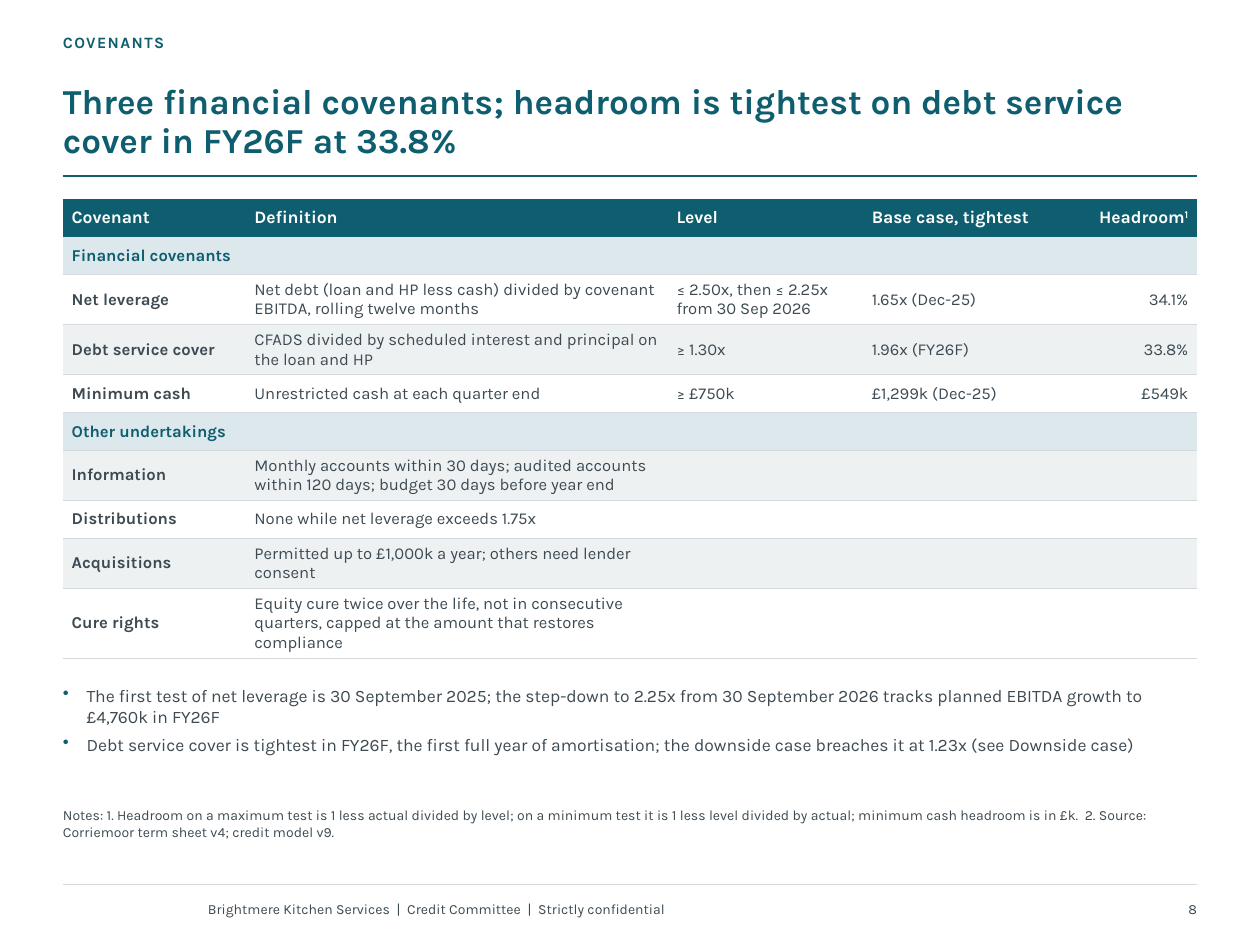
from lxml import etree
from pptx import Presentation
from pptx.dml.color import RGBColor
from pptx.enum.shapes import MSO_CONNECTOR
from pptx.enum.text import MSO_ANCHOR, PP_ALIGN
from pptx.oxml.ns import qn
from pptx.util import Pt

STRAIGHT = MSO_CONNECTOR.STRAIGHT
TOP, MIDDLE, BOTTOM = MSO_ANCHOR.TOP, MSO_ANCHOR.MIDDLE, MSO_ANCHOR.BOTTOM
LEFT, RIGHT = PP_ALIGN.LEFT, PP_ALIGN.RIGHT

FONT = "Karla"
TEAL, INK, RULE, WHITE = "0E5E6F", "3D4A52", "D3D9DC", "FFFFFF"
SECTION_FILL, BAND_FILL = "DCE8EB", "EEF1F2"
MARGIN, CONTENT_WIDTH = 36, 648
NO_STYLE = "{2D5ABB26-0587-4C30-8999-92F81FD0307C}"

COLUMN_WIDTHS = [104.4, 241.2, 111.6, 108, 82.8]
HEIGHT_BY_LINES = {1: 21.6, 2: 27.9, 3: 39.1}
HEADERS = ["Covenant", "Definition", "Level", "Base case, tightest", "Headroom"]
# Each section holds its rows as (lines of text, cell texts)
SECTIONS = {
    "Financial covenants": [
        (2, ["Net leverage",
             "Net debt (loan and HP less cash) divided by covenant EBITDA, rolling twelve months",
             "≤ 2.50x, then ≤ 2.25x from 30 Sep 2026", "1.65x (Dec-25)", "34.1%"]),
        (2, ["Debt service cover",
             "CFADS divided by scheduled interest and principal on the loan and HP",
             "≥ 1.30x", "1.96x (FY26F)", "33.8%"]),
        (1, ["Minimum cash", "Unrestricted cash at each quarter end",
             "≥ £750k", "£1,299k (Dec-25)", "£549k"]),
    ],
    "Other undertakings": [
        (2, ["Information",
             "Monthly accounts within 30 days; audited accounts within 120 days; "
             "budget 30 days before year end", "", "", ""]),
        (1, ["Distributions", "None while net leverage exceeds 1.75x", "", "", ""]),
        (2, ["Acquisitions",
             "Permitted up to £1,000k a year; others need lender consent", "", "", ""]),
        (3, ["Cure rights",
             "Equity cure twice over the life, not in consecutive quarters, "
             "capped at the amount that restores compliance", "", "", ""]),
    ],
}
BULLETS = [
    "The first test of net leverage is 30 September 2025; the step-down to 2.25x from "
    "30 September 2026 tracks planned EBITDA growth to £4,760k in FY26F",
    "Debt service cover is tightest in FY26F, the first full year of amortisation; "
    "the downside case breaches it at 1.23x (see Downside case)",
]
NOTES = ("Notes: 1. Headroom on a maximum test is 1 less actual divided by level; on a minimum "
         "test it is 1 less level divided by actual; minimum cash headroom is in £k.  "
         "2. Source: Corriemoor term sheet v4; credit model v9.")
FOOTER = "Brightmere Kitchen Services  |  Credit Committee  |  Strictly confidential"


def rgb(value):
    return RGBColor.from_string(value)


def add_span(para, text, size, color=INK, bold=False):
    span = para.add_run()
    span.text = text
    font = span.font
    font.name, font.size, font.bold = FONT, Pt(size), bold
    font.color.rgb = rgb(color)
    return span


def add_box(page, left, top, width, height, anchor=TOP, insets=(0, 0, 0, 0)):
    box = page.shapes.add_textbox(Pt(left), Pt(top), Pt(width), Pt(height))
    frame = box.text_frame
    frame.word_wrap = True
    frame.vertical_anchor = anchor
    (frame.margin_left, frame.margin_top,
     frame.margin_right, frame.margin_bottom) = map(Pt, insets)
    return frame


def add_rule(page, top, color, weight):
    rule = page.shapes.add_connector(
        STRAIGHT, Pt(MARGIN), Pt(top), Pt(MARGIN + CONTENT_WIDTH), Pt(top))
    rule.line.color.rgb = rgb(color)
    rule.line.width = Pt(weight)
    etree.SubElement(rule._element.spPr, qn("a:effectLst"))


def add_bullet(para, text):
    properties = para._p.get_or_add_pPr()
    properties.set("marL", str(Pt(13.5)))
    properties.set("indent", str(-Pt(13.5)))
    color = etree.SubElement(properties, qn("a:buClr"))
    etree.SubElement(color, qn("a:srgbClr"), val=TEAL)
    etree.SubElement(properties, qn("a:buChar"), char="•")
    add_span(para, text, 10)


def add_bottom_border(cell):
    border = etree.Element(qn("a:lnB"), w=str(Pt(0.5)))
    fill = etree.SubElement(border, qn("a:solidFill"))
    etree.SubElement(fill, qn("a:srgbClr"), val=RULE)
    cell._tc.get_or_add_tcPr().insert(0, border)


def style_cell(cell, text, fill=None, size=9.5, color=INK, bold=False, align=LEFT):
    cell.margin_left = cell.margin_right = Pt(5)
    cell.margin_top = cell.margin_bottom = Pt(2.9)
    cell.vertical_anchor = MIDDLE
    if fill:
        cell.fill.solid()
        cell.fill.fore_color.rgb = rgb(fill)
    else:
        cell.fill.background()
    para = cell.text_frame.paragraphs[0]
    para.alignment = align
    if text:
        add_span(para, text, size, color, bold)
    else:
        # Keeps blank cells from stretching the row
        etree.SubElement(para._p, qn("a:endParaRPr"), sz=str(int(size * 100)))
    return para


def fill_header(table):
    last = len(HEADERS) - 1
    for column, text in enumerate(HEADERS):
        para = style_cell(table.cell(0, column), text, TEAL, 10, WHITE, True,
                          RIGHT if column == last else LEFT)
    mark = add_span(para, "1", 10, WHITE, True)
    mark.font._element.set("baseline", "30000")


def fill_section(table, row, title):
    for column in range(len(HEADERS)):
        cell = table.cell(row, column)
        style_cell(cell, "" if column else title, SECTION_FILL, color=TEAL, bold=True)
        add_bottom_border(cell)
    table.cell(row, 0).merge(table.cell(row, len(HEADERS) - 1))


def fill_row(table, row, texts, fill):
    last = len(texts) - 1
    for column, text in enumerate(texts):
        cell = table.cell(row, column)
        style_cell(cell, text, fill, bold=column == 0,
                   align=RIGHT if column == last else LEFT)
        add_bottom_border(cell)


def add_covenant_table(page):
    row_count = 1 + sum(1 + len(rows) for rows in SECTIONS.values())
    frame = page.shapes.add_table(row_count, len(HEADERS), Pt(MARGIN), Pt(113.8),
                                  Pt(CONTENT_WIDTH), Pt(HEIGHT_BY_LINES[1] * row_count))
    table = frame.table
    table.horz_banding = False
    table._tbl.tblPr.find(qn("a:tableStyleId")).text = NO_STYLE
    for column, width in zip(table.columns, COLUMN_WIDTHS):
        column.width = Pt(width)
    for row in table.rows:
        row.height = Pt(HEIGHT_BY_LINES[1])

    fill_header(table)
    row, data_rows = 1, 0
    for title, entries in SECTIONS.items():
        fill_section(table, row, title)
        row += 1
        for lines, texts in entries:
            table.rows[row].height = Pt(HEIGHT_BY_LINES[lines])
            fill_row(table, row, texts, BAND_FILL if data_rows % 2 else None)
            row += 1
            data_rows += 1


def main():
    deck = Presentation()
    deck.slide_width, deck.slide_height = Pt(720), Pt(540)
    page = deck.slides.add_slide(deck.slide_layouts[6])

    # Rules
    add_rule(page, 505.4, RULE, 0.75)
    add_rule(page, 100.8, TEAL, 1.25)

    # Section label and title
    label = add_box(page, MARGIN, 18.7, 504, 17.3)
    span = add_span(label.paragraphs[0], "COVENANTS", 9, TEAL, True)
    span.font._element.set("spc", "80")
    title = add_box(page, MARGIN, 36, CONTENT_WIDTH, 59, BOTTOM, (0, 0, 0, 2.9))
    title.paragraphs[0].line_spacing = 0.92
    add_span(title.paragraphs[0],
             "Three financial covenants; headroom is tightest on debt service "
             "cover in FY26F at 33.8%", 20, TEAL, True)

    add_covenant_table(page)

    # Commentary
    comments = add_box(page, MARGIN, 390.2, CONTENT_WIDTH, 64.8, insets=(0, 1.4, 0, 0))
    for index, text in enumerate(BULLETS):
        para = comments.add_paragraph() if index else comments.paragraphs[0]
        if index:
            para.space_before = Pt(4)
        add_bullet(para, text)

    # Notes, footer and page number
    notes = add_box(page, MARGIN, 460.8, CONTENT_WIDTH, 41.8)
    add_span(notes.paragraphs[0], NOTES, 8)
    footer = add_box(page, 118.8, 509.8, 403.2, 18.7, MIDDLE, (0, 3.6, 7.2, 3.6))
    add_span(footer.paragraphs[0], FOOTER, 8)
    number = add_box(page, 612, 509.8, 72, 18.7, MIDDLE, (7.2, 3.6, 0, 3.6))
    number.paragraphs[0].alignment = RIGHT
    add_span(number.paragraphs[0], "8", 8)

    deck.save("out.pptx")


if __name__ == "__main__":
    main()
